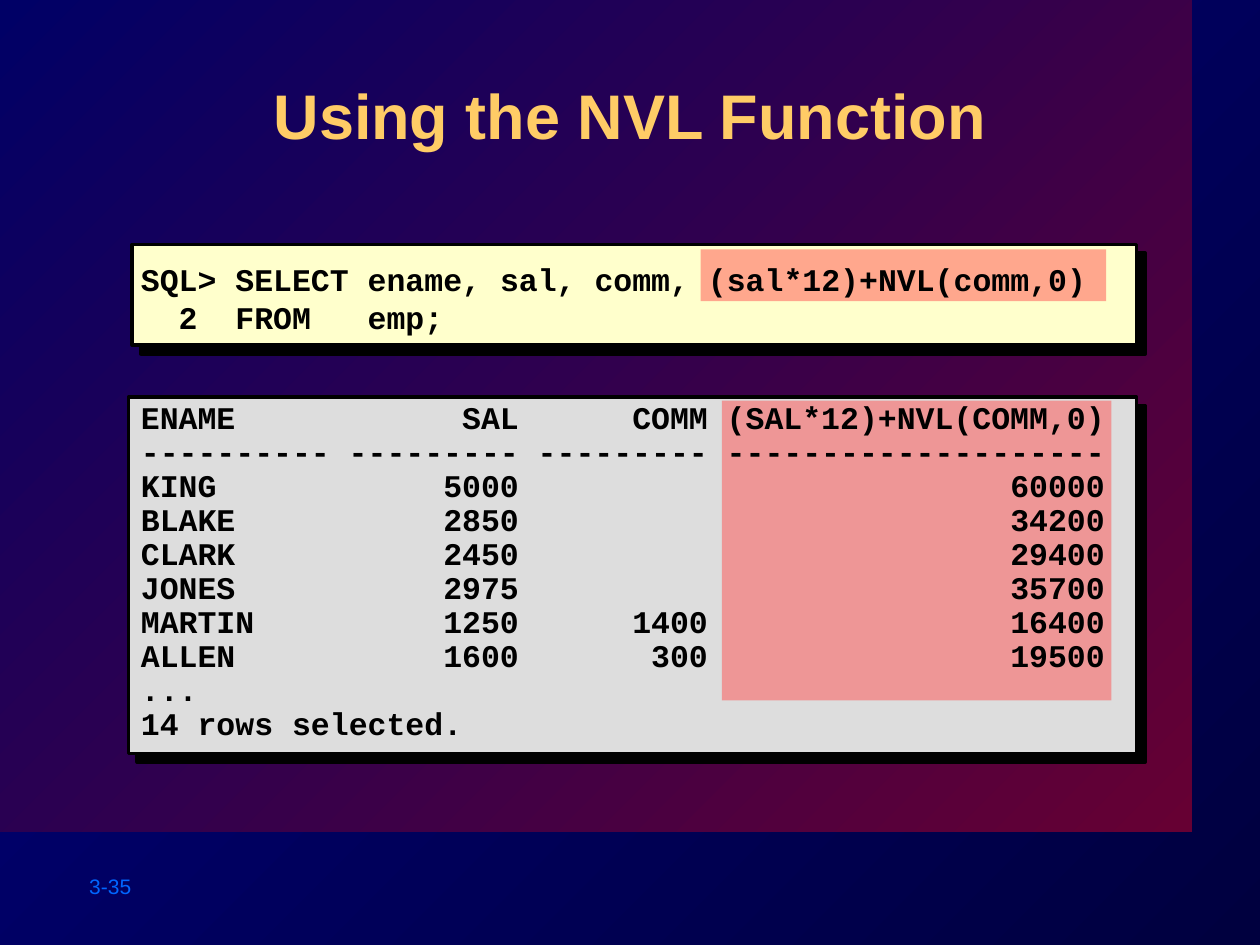
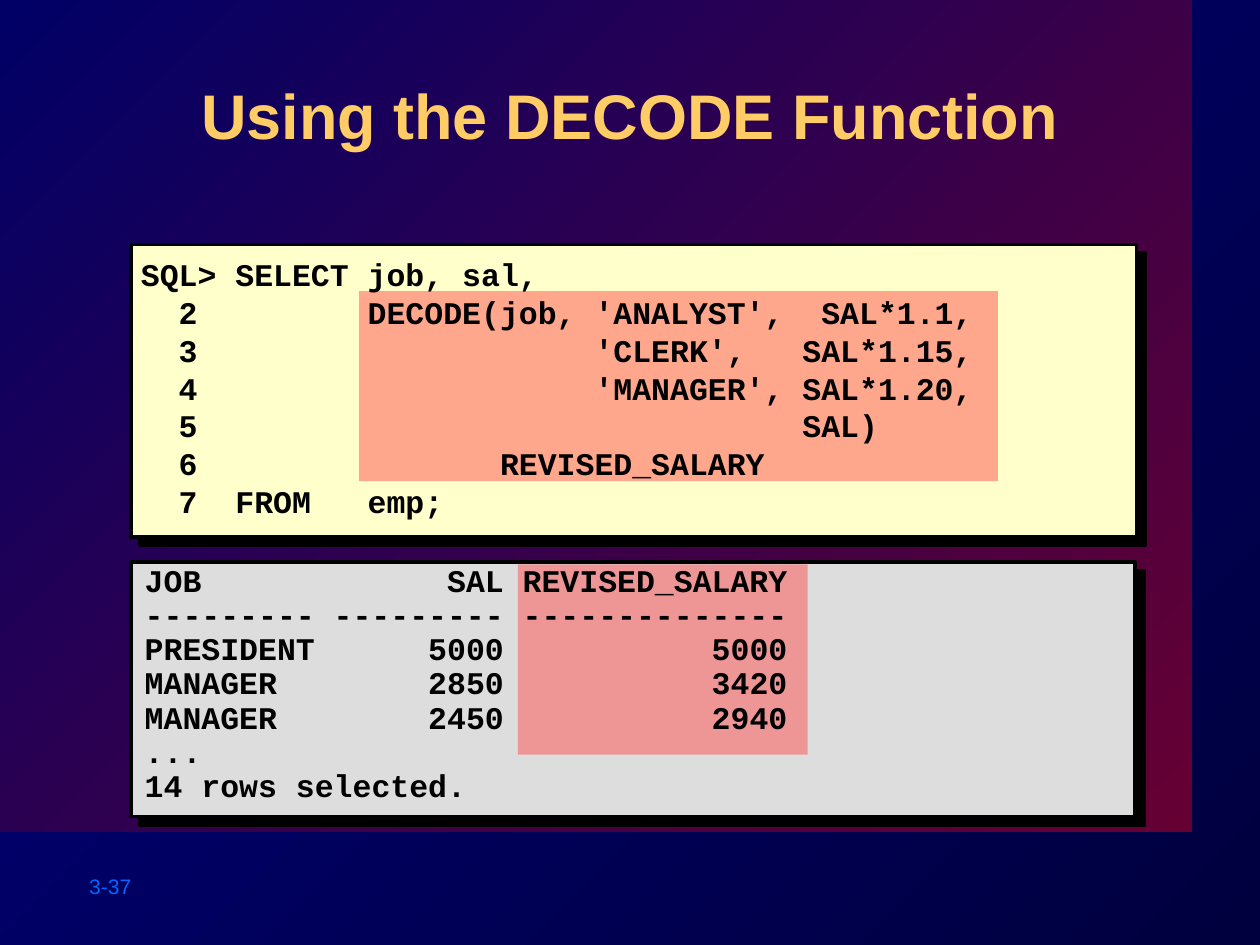
import dataclasses

import lxml.etree
import pptx
import pptx.dml.color
import pptx.enum.dml
import pptx.enum.shapes
import pptx.enum.text
import pptx.oxml.ns
import pptx.util


@dataclasses.dataclass(frozen=True)
class Theme:
    title_font: str = "Arial"
    code_font: str = "Courier New"
    title_size: int = 36
    code_size: int = 18
    number_size: int = 12
    title: str = "FFCC66"
    number: str = "0066FF"
    ink: str = "000000"
    query_fill: str = "FFFFCC"
    result_fill: str = "DDDDDD"
    highlight: str = "FF5050"
    highlight_opacity: int = 50
    background: tuple = ("00003F", "000080")
    backdrop: tuple = ("660033", "000066")
    gradient_angle: int = 135
    border: int = 2
    shadow_distance: float = 7.1
    result_spacing: float = 0.9


THEME = Theme()
GRID_COLUMNS, GRID_ROWS = 100, 75
CELL = pptx.util.Inches(0.1)
CHARACTER = 1.5
BACKDROP_AREA = (0, 0, 94.6, 66)
TITLE_AREA = (10.1, 5.6, 79.8, 9.6)
NUMBER_AREA = (6.1, 68.8, 11.1, 3)

NVL_QUERY = """\
SQL> SELECT ename, sal, comm, (sal*12)+NVL(comm,0)
  2  FROM   emp;"""
NVL_WIDTHS = (10, 9, 9, 20)
NVL_HEADINGS = ("ENAME", "SAL", "COMM", "(SAL*12)+NVL(COMM,0)")
NVL_ROWS = (
    ("KING", "5000", "", "60000"),
    ("BLAKE", "2850", "", "34200"),
    ("CLARK", "2450", "", "29400"),
    ("JONES", "2975", "", "35700"),
    ("MARTIN", "1250", "1400", "16400"),
    ("ALLEN", "1600", "300", "19500"),
)

DECODE_QUERY = """\
SQL> SELECT job, sal,
  2         DECODE(job, 'ANALYST',  SAL*1.1,
  3                     'CLERK',   SAL*1.15,
  4                     'MANAGER', SAL*1.20,
  5                                SAL)
  6                REVISED_SALARY
  7  FROM   emp;"""
DECODE_WIDTHS = (9, 9, 14)
DECODE_HEADINGS = ("JOB", "SAL", "REVISED_SALARY")
DECODE_ROWS = (
    ("PRESIDENT", "5000", "5000"),
    ("MANAGER", "2850", "3420"),
    ("MANAGER", "2450", "2940"),
)


def cells(area):
    return [round(length * CELL) for length in area]


def rgb(color):
    return pptx.dml.color.RGBColor.from_string(color)


def add_element(parent, tag, **attributes):
    element = lxml.etree.SubElement(parent, pptx.oxml.ns.qn(tag))
    for name, value in attributes.items():
        element.set(name, str(value))
    return element


def add_drop_shadow(parent, distance):
    effects = add_element(parent, "a:effectLst")
    shadow = add_element(effects, "a:outerShdw", dist=pptx.util.Pt(distance),
                         dir=45 * 60000, algn="ctr", rotWithShape=0)
    add_element(shadow, "a:srgbClr", val=THEME.ink)
    return effects


def fill_gradient(fill, colors):
    fill.gradient()
    fill.gradient_angle = THEME.gradient_angle
    for stop, color in zip(fill.gradient_stops, colors):
        stop.color.rgb = rgb(color)


def add_run(paragraph, text, font_name, size, color, bold=False):
    run = paragraph.add_run()
    run.text = text
    run.font.name = font_name
    run.font.size = pptx.util.Pt(size)
    run.font.bold = bold
    run.font.color.rgb = rgb(color)
    return run


def add_rectangle(slide, area):
    shape = slide.shapes.add_shape(
        pptx.enum.shapes.MSO_SHAPE.RECTANGLE, *cells(area))
    shape.line.fill.background()
    return shape


def add_backdrop(slide):
    shape = add_rectangle(slide, BACKDROP_AREA)
    shape.shadow.inherit = False
    fill_gradient(shape.fill, THEME.backdrop)
    slide.shapes.title.element.addprevious(shape.element)


def add_panel(slide, area, color):
    shape = add_rectangle(slide, area)
    shape.fill.solid()
    shape.fill.fore_color.rgb = rgb(color)
    shape.line.color.rgb = rgb(THEME.ink)
    shape.line.width = pptx.util.Pt(THEME.border)
    add_drop_shadow(shape.element.spPr, THEME.shadow_distance)


def add_highlight(slide, area):
    shape = add_rectangle(slide, area)
    shape.shadow.inherit = False
    shape.fill.solid()
    shape.fill.fore_color.rgb = rgb(THEME.highlight)
    color = shape.element.spPr.find(".//" + pptx.oxml.ns.qn("a:srgbClr"))
    add_element(color, "a:alpha", val=THEME.highlight_opacity * 1000)


def set_title(slide, text):
    title = slide.shapes.title
    title.left, title.top, title.width, title.height = cells(TITLE_AREA)
    frame = title.text_frame
    frame.auto_size = pptx.enum.text.MSO_AUTO_SIZE.NONE
    frame.vertical_anchor = pptx.enum.text.MSO_ANCHOR.TOP
    paragraph = frame.paragraphs[0]
    paragraph.alignment = pptx.enum.text.PP_ALIGN.CENTER
    run = add_run(paragraph, text, THEME.title_font, THEME.title_size,
                  THEME.title, bold=True)
    properties = run.font.fill._xPr
    effects = add_drop_shadow(properties, 3)
    properties.find(pptx.oxml.ns.qn("a:solidFill")).addnext(effects)


def add_text(slide, area, lines, anchor, spacing=None, tab_stops=()):
    frame = slide.shapes.add_textbox(*cells(area)).text_frame
    frame.word_wrap = True
    frame.vertical_anchor = anchor
    for index, line in enumerate(lines):
        paragraph = frame.add_paragraph() if index else frame.paragraphs[0]
        if tab_stops:
            properties = paragraph._p.get_or_add_pPr()
            stops = add_element(properties, "a:tabLst")
            for position in tab_stops:
                add_element(stops, "a:tab", pos=position, algn="r")
        if spacing:
            paragraph.line_spacing = spacing
        add_run(paragraph, line, THEME.code_font, THEME.code_size,
                THEME.ink, bold=True)


def add_query(slide, area, query):
    add_text(slide, area, query.split("\n"),
             pptx.enum.text.MSO_ANCHOR.MIDDLE)


def add_result(slide, area, widths, headings, rows):
    rules = ["-" * width for width in widths]
    lines = ["\t".join(row) for row in (headings, rules, *rows)]
    ends = [sum(widths[:count]) + count - 1
            for count in range(2, len(widths) + 1)]
    add_text(slide, area, lines + ["...", "14 rows selected."],
             pptx.enum.text.MSO_ANCHOR.TOP, THEME.result_spacing,
             cells(end * CHARACTER for end in ends))


def add_page_number(slide, number):
    frame = slide.shapes.add_textbox(*cells(NUMBER_AREA)).text_frame
    frame.word_wrap = True
    add_run(frame.paragraphs[0], number, THEME.title_font,
            THEME.number_size, THEME.number)


def add_example_slide(presentation, title, number, query_panel, result_panel,
                      highlights):
    slide = presentation.slides.add_slide(presentation.slide_layouts[5])
    set_title(slide, title)
    add_backdrop(slide)
    add_page_number(slide, number)
    add_panel(slide, query_panel, THEME.query_fill)
    add_panel(slide, result_panel, THEME.result_fill)
    for area in highlights:
        add_highlight(slide, area)
    return slide


def main():
    presentation = pptx.Presentation()
    presentation.slide_width = GRID_COLUMNS * CELL
    presentation.slide_height = GRID_ROWS * CELL
    fill_gradient(presentation.slide_master.background.fill, THEME.background)

    nvl = add_example_slide(
        presentation, "Using the NVL Function", "3-35",
        query_panel=(10.5, 19.4, 79.7, 8),
        result_panel=(10.2, 31.5, 80, 28.3),
        highlights=((55.6, 19.8, 32.2, 4.1), (57.3, 31.8, 30.9, 23.8)))
    add_query(nvl, (10.2, 18.2, 80, 10.9), NVL_QUERY)
    add_result(nvl, (10.2, 31.4, 79.7, 28),
               NVL_WIDTHS, NVL_HEADINGS, NVL_ROWS)

    decode = add_example_slide(
        presentation, "Using the DECODE Function", "3-37",
        query_panel=(10.4, 19.4, 79.8, 23.2),
        result_panel=(10.4, 44.6, 79.7, 20.2),
        highlights=((28.5, 23.1, 50.7, 15.1), (41.1, 44.8, 23, 15.1)))
    add_query(decode, (10.2, 19, 80, 23.5), DECODE_QUERY)
    add_result(decode, (10.5, 44.4, 79.5, 19.9),
               DECODE_WIDTHS, DECODE_HEADINGS, DECODE_ROWS)

    presentation.save("out.pptx")


if __name__ == "__main__":
    main()
